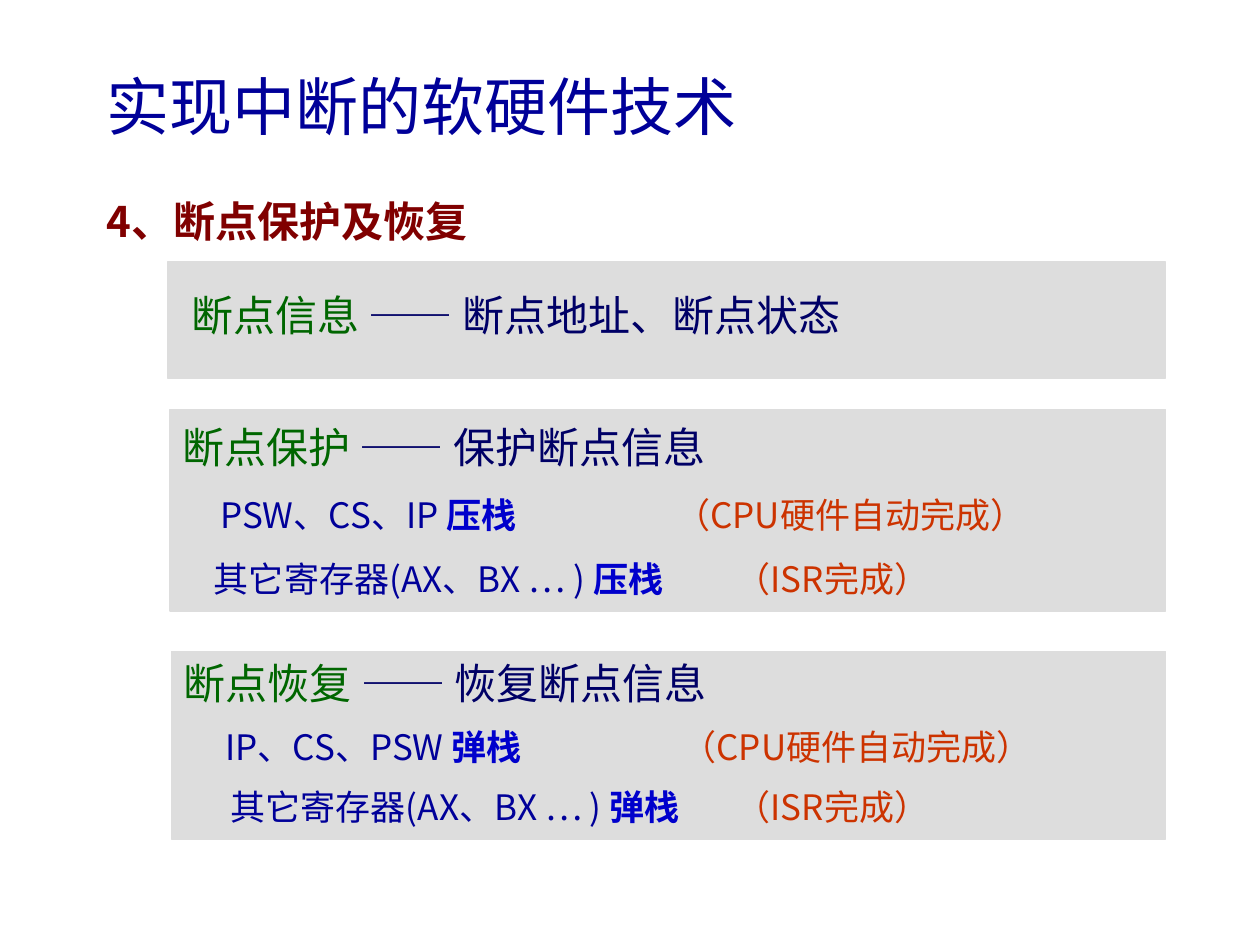
from pptx import Presentation
from pptx.dml.color import RGBColor
from pptx.enum.shapes import MSO_SHAPE
from pptx.enum.text import MSO_ANCHOR, PP_ALIGN
from pptx.oxml.ns import qn
from pptx.util import Inches, Pt
from lxml import etree

RECT = MSO_SHAPE.RECTANGLE
TOP, MIDDLE = MSO_ANCHOR.TOP, MSO_ANCHOR.MIDDLE
LEFT = PP_ALIGN.LEFT
FONT = "Noto Sans CJK SC"
GREY, GREEN, NAVY = "DDDDDD", "006600", "000066"
BLUE, BRIGHT, ORANGE = "000099", "0000CC", "CC3300"


def color(code):
    return RGBColor.from_string(code)


def set_tabs(para, stops):
    props = para._p.get_or_add_pPr()
    tabs = etree.SubElement(props, qn("a:tabLst"))
    for stop in stops:
        etree.SubElement(tabs, qn("a:tab"), pos=str(Inches(stop)), algn="l")


def add_run(para, text, size=24, fill=NAVY, bold=False):
    run = para.add_run()
    run.text = text
    font = run.font
    font.size, font.bold, font.name = Pt(size), bold, FONT
    font.color.rgb = color(fill)
    props = run._r.get_or_add_rPr()
    etree.SubElement(props, qn("a:ea"), typeface=FONT)


def set_frame(shape, anchor):
    frame = shape.text_frame
    frame.word_wrap = True
    frame.vertical_anchor = anchor
    return frame


def add_label(slide, box, anchor=TOP):
    shape = slide.shapes.add_textbox(*map(Inches, box))
    para = set_frame(shape, anchor).paragraphs[0]
    para.alignment = LEFT
    return para


def add_panel(slide, box):
    panel = slide.shapes.add_shape(RECT, *map(Inches, box))
    panel.shadow.inherit = False
    panel.fill.solid()
    panel.fill.fore_color.rgb = color(GREY)
    panel.line.color.rgb = color(GREY)
    panel.line.width = Pt(0.75)
    return panel


def add_term(para, term, text):
    add_run(para, term + " ", fill=GREEN)
    add_run(para, "—— " + text)


def add_steps(slide, box, term, text, verb, steps, spacing):
    """Panel with a term line and steps; each step has two tab stops."""
    frame = set_frame(add_panel(slide, box), MIDDLE)
    head = frame.paragraphs[0]
    head.alignment, head.line_spacing = LEFT, spacing
    add_term(head, term, text)
    for what, who, stops in steps:
        para = frame.add_paragraph()
        para.alignment, para.line_spacing = LEFT, spacing
        para.space_before = Pt(12.5)
        set_tabs(para, stops)
        add_run(para, "\t" + what + " ", size=20, fill=BLUE)
        add_run(para, verb + "\t", size=20, fill=BRIGHT, bold=True)
        add_run(para, who, size=20, fill=ORANGE)


def main():
    deck = Presentation()
    deck.slide_width, deck.slide_height = Inches(10), Inches(7.5)
    slide = deck.slides.add_slide(deck.slide_layouts[6])

    # Title and section heading
    title = add_label(slide, (0.75, 0.5, 8.5, 0.67), MIDDLE)
    add_run(title, "实现中断的软硬件技术", size=36, fill=BLUE)
    heading = add_label(slide, (0.75, 1.5, 8.5, 0.67))
    add_run(heading, "4、断点保护及恢复", fill="800000", bold=True)

    # Breakpoint information
    add_panel(slide, (1.33, 2.08, 7.92, 0.92))
    info = add_label(slide, (1.42, 2.25, 7.67, 0.5))
    add_term(info, "断点信息", "断点地址、断点状态")

    # Saving and restoring
    cpu, isr = "（CPU硬件自动完成）", "（ISR完成）"
    others = "其它寄存器(AX、BX … )"
    add_steps(slide, (1.35, 3.25, 7.9, 1.6), "断点保护", "保护断点信息", "压栈",
              [("PSW、CS、IP", cpu, (0.3, 3.91)),
               (others, isr, (0.25, 4.39))], 1.0)
    add_steps(slide, (1.36, 5.17, 7.89, 1.49), "断点恢复", "恢复断点信息", "弹栈",
              [("IP、CS、PSW", cpu, (0.33, 3.95)),
               (others, isr, (0.37, 4.38))], 0.9)

    deck.save("out.pptx")


if __name__ == "__main__":
    main()
